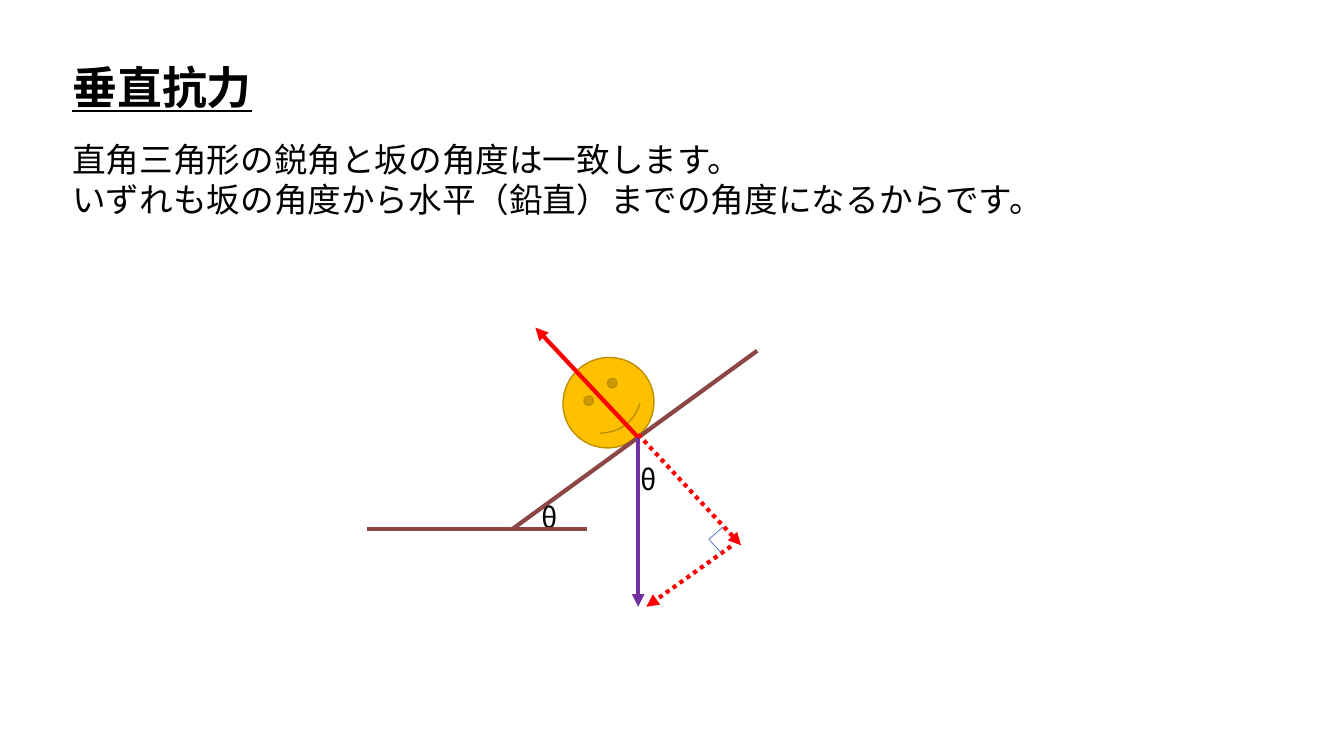
from dataclasses import dataclass

from lxml.etree import SubElement
from pptx import Presentation
from pptx.dml.color import RGBColor
from pptx.enum.dml import MSO_LINE
from pptx.enum.shapes import MSO_CONNECTOR, MSO_SHAPE
from pptx.enum.text import MSO_AUTO_SIZE, MSO_VERTICAL_ANCHOR as ANCHOR
from pptx.oxml.ns import qn
from pptx.util import Inches, Pt

FONT = "Noto Sans CJK JP"
COLORS = {
    "text": "000000",
    "ball": "FFC000",
    "ball_edge": "BD8E00",
    "slope": "8C4646",
    "normal": "FF0000",
    "gravity": "7030A0",
    "right_angle": "4472C4",
}
Point = tuple[float, float]


@dataclass(frozen=True)
class Label:
    text: str
    box: tuple[float, float, float, float]
    size: int
    heading: bool = False


@dataclass(frozen=True)
class Segment:
    start: Point
    end: Point
    color: str
    width: float = 3
    arrow: bool = False
    dotted: bool = False


def color(name: str) -> RGBColor:
    return RGBColor.from_string(COLORS[name])


def draw_label(slide, label: Label) -> None:
    frame = slide.shapes.add_textbox(*map(Inches, label.box)).text_frame
    frame.text = label.text
    frame.word_wrap = False
    frame.auto_size = MSO_AUTO_SIZE.SHAPE_TO_FIT_TEXT
    frame.vertical_anchor = ANCHOR.TOP
    for paragraph in frame.paragraphs:
        for run in paragraph.runs:
            run.font.size = Pt(label.size)
            run.font.color.rgb = color("text")
            run.font.name = FONT
            if label.heading:
                run.font.bold = run.font.underline = True
            SubElement(run.font._element, qn("a:ea"), typeface=FONT)


def draw_segment(slide, segment: Segment) -> None:
    connector = slide.shapes.add_connector(
        MSO_CONNECTOR.STRAIGHT, *map(Inches, segment.start + segment.end))
    line = connector.line
    line.color.rgb = color(segment.color)
    line.width = Pt(segment.width)
    if segment.dotted:
        line.dash_style = MSO_LINE.ROUND_DOT
    properties = connector._element.spPr
    if segment.arrow:
        SubElement(properties.find(qn("a:ln")), qn("a:tailEnd"), type="triangle")
    SubElement(properties, qn("a:effectLst"))


def draw_ball(slide) -> None:
    ball = slide.shapes.add_shape(
        MSO_SHAPE.SMILEY_FACE, *map(Inches, (5.58, 3.55, 0.91, 0.89)))
    ball.rotation = 323.4
    ball.shadow.inherit = False
    ball.fill.solid()
    ball.fill.fore_color.rgb = color("ball")
    ball.line.color.rgb = color("ball_edge")
    ball.line.width = Pt(1)


CONTACT = (6.33, 4.34)
SLOPE_FOOT = (5.08, 5.25)
CORNER = (7.03, 5.35)

HEADINGS = [
    Label("垂直抗力", (0.62, 0.54, 2, 0.64), 32, heading=True),
    Label("直角三角形の鋭角と坂の角度は一致します。\n"
          "いずれも坂の角度から水平（鉛直）までの角度になるからです。",
          (0.62, 1.33, 9.96, 0.91), 24),
]
SLOPE_AND_NORMAL = [
    Segment(SLOPE_FOOT, (7.51, 3.48), "slope"),
    Segment(CONTACT, (5.31, 3.25), "normal", arrow=True),
]
ANGLES = [
    Label("θ", (left, top, 0.48, 0.44), 20)
    for left, top in [(6.25, 4.54), (5.27, 4.92)]
]
GROUND_AND_FORCES = [
    Segment((3.64, 5.25), (5.82, 5.25), "slope"),
    Segment(CONTACT, (6.33, 6.02), "gravity", arrow=True),
    Segment((6.33, 4.31), (7.35, 5.41), "normal", arrow=True, dotted=True),
    Segment((7.25, 5.42), (6.41, 6.02), "normal", arrow=True, dotted=True),
    Segment((7.17, 5.23), CORNER, "right_angle", 0.5),
    Segment((7.15, 5.48), CORNER, "right_angle", 0.5),
]


def main() -> None:
    deck = Presentation()
    deck.slide_width, deck.slide_height = Inches(13.33), Inches(7.5)
    slide = deck.slides.add_slide(deck.slide_layouts[6])
    for heading in HEADINGS:
        draw_label(slide, heading)
    draw_ball(slide)
    for segment in SLOPE_AND_NORMAL:
        draw_segment(slide, segment)
    for angle in ANGLES:
        draw_label(slide, angle)
    for segment in GROUND_AND_FORCES:
        draw_segment(slide, segment)
    deck.save("out.pptx")


if __name__ == "__main__":
    main()
